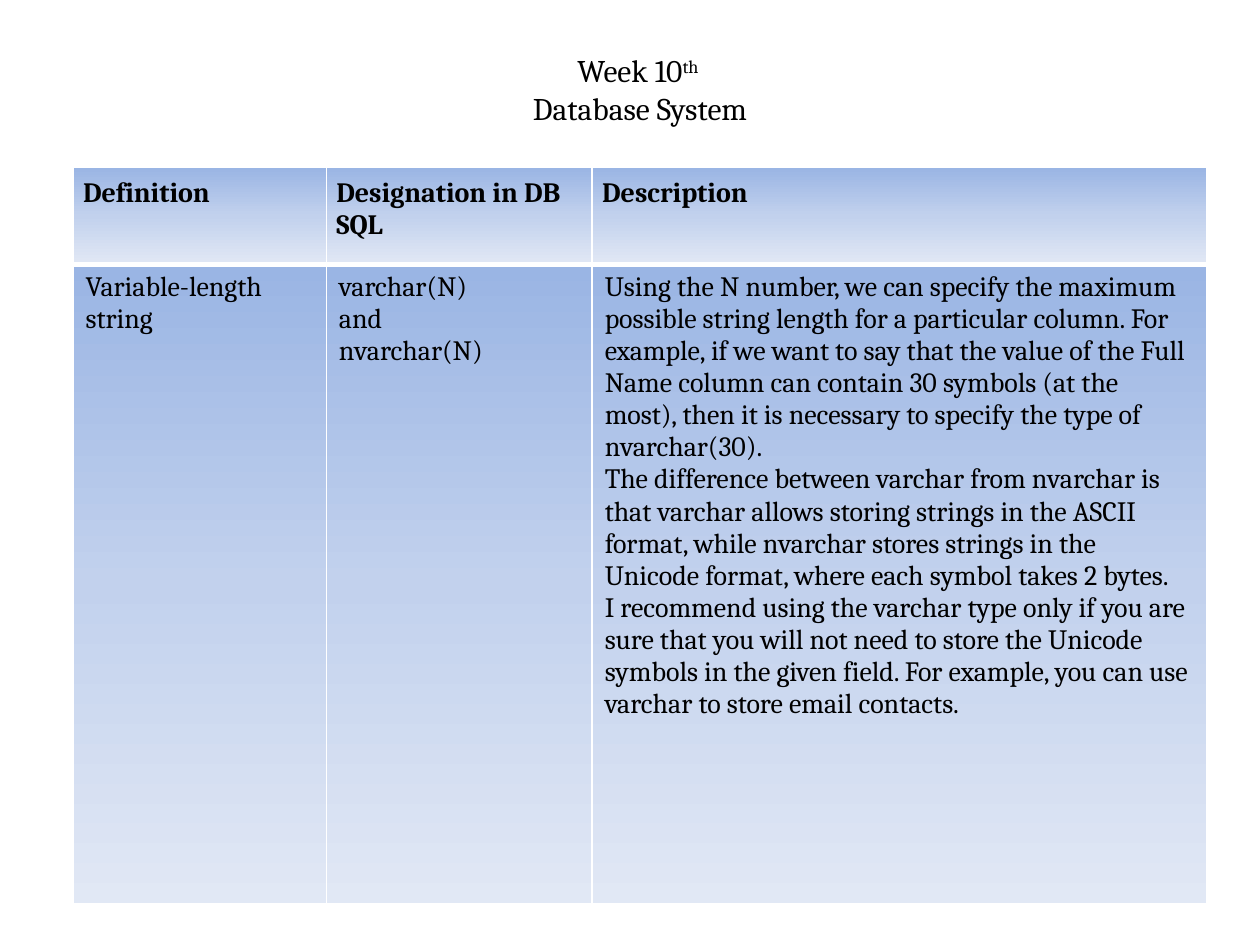
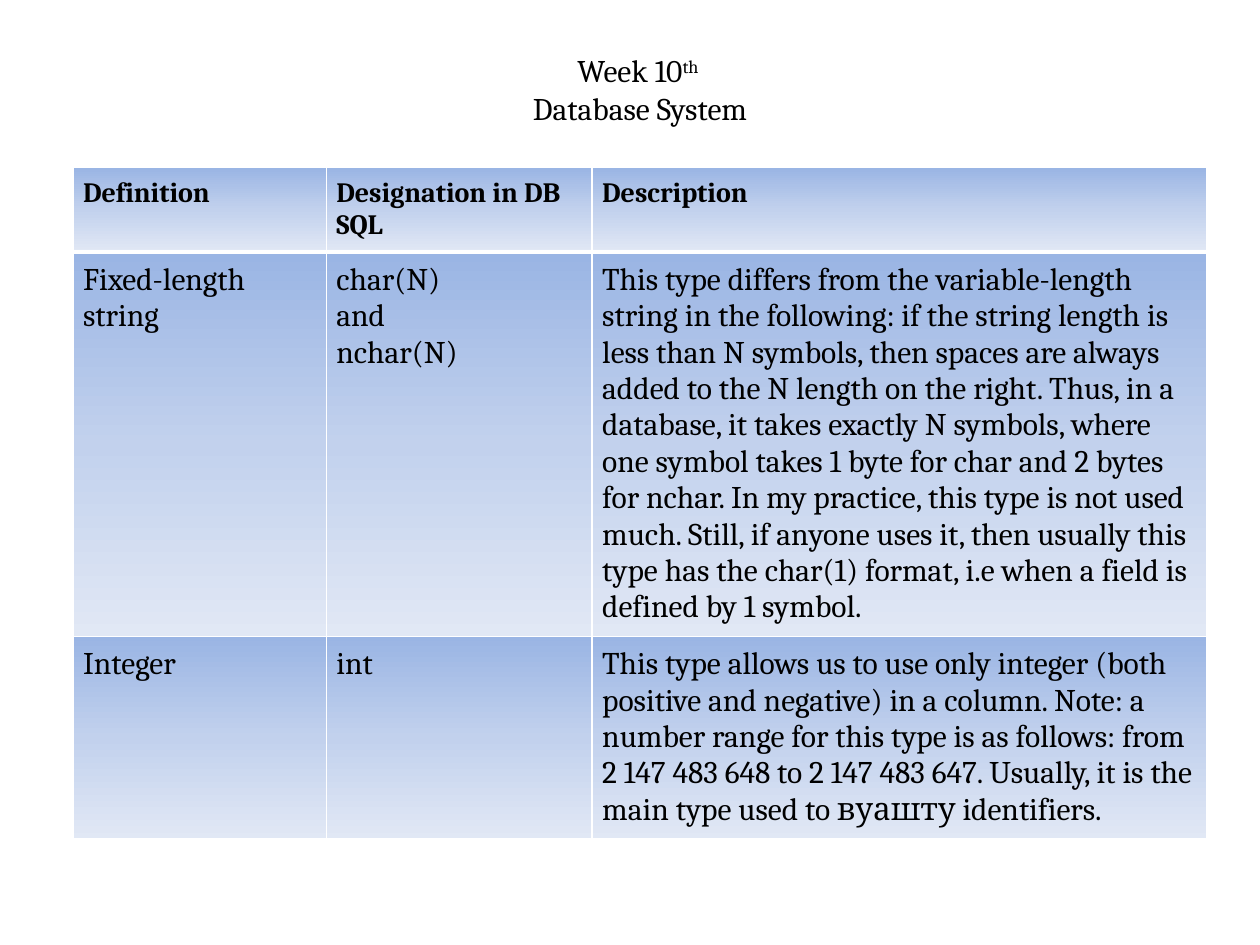
import lxml.etree
import pptx
import pptx.dml.color
import pptx.enum.text
import pptx.oxml.ns
import pptx.util

Inches = pptx.util.Inches
Pt = pptx.util.Pt

COLORS = {
    "text": "000000",
    "border": "FFFFFF",
    "top": "9AB5E4",
    "middle": "C2D1ED",
    "bottom": "E1E8F5",
}
FONT = "Cambria"
TITLE_BOX = (0.83, 0.33, 8.5, 0.75)
TABLE_LEFT, TABLE_TOP = 0.58, 1.33
COLUMN_WIDTHS = (2.01, 2.11, 4.88)
WIDE_MARGINS = (0.08, 0.08)
DEFAULT_MARGINS = (0.1, 0.05)
HEADINGS = ("Definition", "Designation\u00a0in\u00a0DB SQL", "Description")

VARIABLE_STRING = (
    "Variable-length string",
    "varchar(N)\nand\nnvarchar(N)",
    (
        "Using the N number, we can specify the maximum possible string length for a "
        "particular column. For example, if we want to say that the value of the Full Name "
        "column can contain 30 symbols (at the most), then it is necessary to specify the "
        "type of nvarchar(30).",
        "The difference between varchar from nvarchar is that varchar allows storing strings "
        "in the ASCII format, while nvarchar stores strings in the Unicode format, where each "
        "symbol takes 2 bytes.\nI recommend using the varchar type only if you are sure that "
        "you will not need to store the Unicode symbols in the given field. For example, you "
        "can use varchar to store email contacts.",
    ),
)
FIXED_STRING = (
    "Fixed-length string",
    "char(N)\nand\nnchar(N)",
    "This type differs from the variable-length string in the following: if the string length "
    "is less than N symbols, then spaces are always added to the N length on the right. Thus, "
    "in a database, it takes exactly N symbols, where one symbol takes 1 byte for char and 2 "
    "bytes for nchar. In my practice, this type is not used much. Still, if anyone uses it, "
    "then usually this type has the char(1) format, i.e when a field is defined by 1 symbol.",
)
INTEGER = (
    "Integer",
    "int",
    "This type allows us to use only integer (both positive and negative) in a column. Note: a "
    "number range for this type is as follows: from 2 147 483 648 to 2 147 483 647. Usually, it "
    "is the main type used to вуашту identifiers.",
)


def add_run(paragraph, text, size, bold=False):
    run = paragraph.add_run()
    run.text = text
    run.font.name = FONT
    run.font.size = Pt(size)
    run.font.bold = bold
    run.font.color.rgb = pptx.dml.color.RGBColor.from_string(COLORS["text"])
    return run


def add_element(parent, tag, **attributes):
    return lxml.etree.SubElement(parent, pptx.oxml.ns.qn(tag), attributes)


def add_color(parent, name):
    add_element(parent, "a:srgbClr", val=COLORS[name])


def style_cell(cell, top_border, bottom_border):
    """Give a cell its white borders and vertical gradient."""
    properties = cell._tc.get_or_add_tcPr()
    borders = {"a:lnL": 1, "a:lnR": 1, "a:lnT": top_border, "a:lnB": bottom_border}
    for tag, width in borders.items():
        line = add_element(properties, tag, w=str(Pt(width)))
        add_color(add_element(line, "a:solidFill"), "border")
    gradient = add_element(properties, "a:gradFill", rotWithShape="1")
    stops = add_element(gradient, "a:gsLst")
    for position, name in ((0, "top"), (50, "middle"), (100, "bottom")):
        add_color(add_element(stops, "a:gs", pos=str(position * 1000)), name)
    add_element(gradient, "a:lin", ang="5400000", scaled="0")


def fill_cell(cell, content, size, bold, margins):
    horizontal, vertical = (Inches(margin) for margin in margins)
    cell.margin_left = cell.margin_right = horizontal
    cell.margin_top = cell.margin_bottom = vertical
    texts = (content,) if isinstance(content, str) else content
    for index, text in enumerate(texts):
        frame = cell.text_frame
        paragraph = frame.add_paragraph() if index else frame.paragraphs[0]
        for line_number, line in enumerate(text.split("\n")):
            if line_number:
                paragraph.add_line_break()
            add_run(paragraph, line, size, bold)


def add_title(slide, box):
    title = slide.shapes.title
    title.left, title.top, title.width, title.height = map(Inches, box)
    frame = title.text_frame
    frame.word_wrap = True
    frame.auto_size = pptx.enum.text.MSO_AUTO_SIZE.NONE
    frame.vertical_anchor = pptx.enum.text.MSO_ANCHOR.MIDDLE
    paragraph = frame.paragraphs[0]
    paragraph.alignment = pptx.enum.text.PP_ALIGN.CENTER
    add_run(paragraph, "Week 10", 18)
    ordinal = add_run(paragraph, "th ", 18)
    ordinal.font._element.set("baseline", "30000")
    paragraph.add_line_break()
    add_run(paragraph, "Database System", 18)


def add_type_table(slide, left, top, body_rows, row_heights, body_size, body_margins):
    rows = (HEADINGS, *body_rows)
    frame = slide.shapes.add_table(
        len(rows), len(COLUMN_WIDTHS), Inches(left), Inches(top),
        Inches(sum(COLUMN_WIDTHS)), Inches(sum(row_heights)),
    )
    table = frame.table
    table.horz_banding = False
    for column, width in zip(table.columns, COLUMN_WIDTHS):
        column.width = Inches(width)
    for row_index, (contents, height) in enumerate(zip(rows, row_heights)):
        table.rows[row_index].height = Inches(height)
        is_header = row_index == 0
        size = 16 if is_header else body_size
        margins = WIDE_MARGINS if is_header else body_margins
        for column_index, content in enumerate(contents):
            cell = table.cell(row_index, column_index)
            fill_cell(cell, content, size, is_header, margins)
            # The heavy rule lies between the header and the first body row
            style_cell(cell, 3 if row_index == 1 else 1, 3 if is_header else 1)


def add_type_slide(presentation, body_rows, row_heights, body_size, body_margins):
    slide = presentation.slides.add_slide(presentation.slide_layouts[0])
    subtitle = slide.placeholders[1].element
    subtitle.getparent().remove(subtitle)
    add_title(slide, TITLE_BOX)
    add_type_table(slide, TABLE_LEFT, TABLE_TOP, body_rows, row_heights, body_size, body_margins)


def main():
    presentation = pptx.Presentation()
    presentation.slide_width = Inches(10)
    presentation.slide_height = Inches(7.5)
    # Variable-length strings
    add_type_slide(presentation, [VARIABLE_STRING], (0.77, 5.07), 16, DEFAULT_MARGINS)
    # Fixed-length strings and integers
    add_type_slide(presentation, [FIXED_STRING, INTEGER], (0.67, 3.05, 1.61), 18, WIDE_MARGINS)
    presentation.save("out.pptx")


if __name__ == "__main__":
    main()
